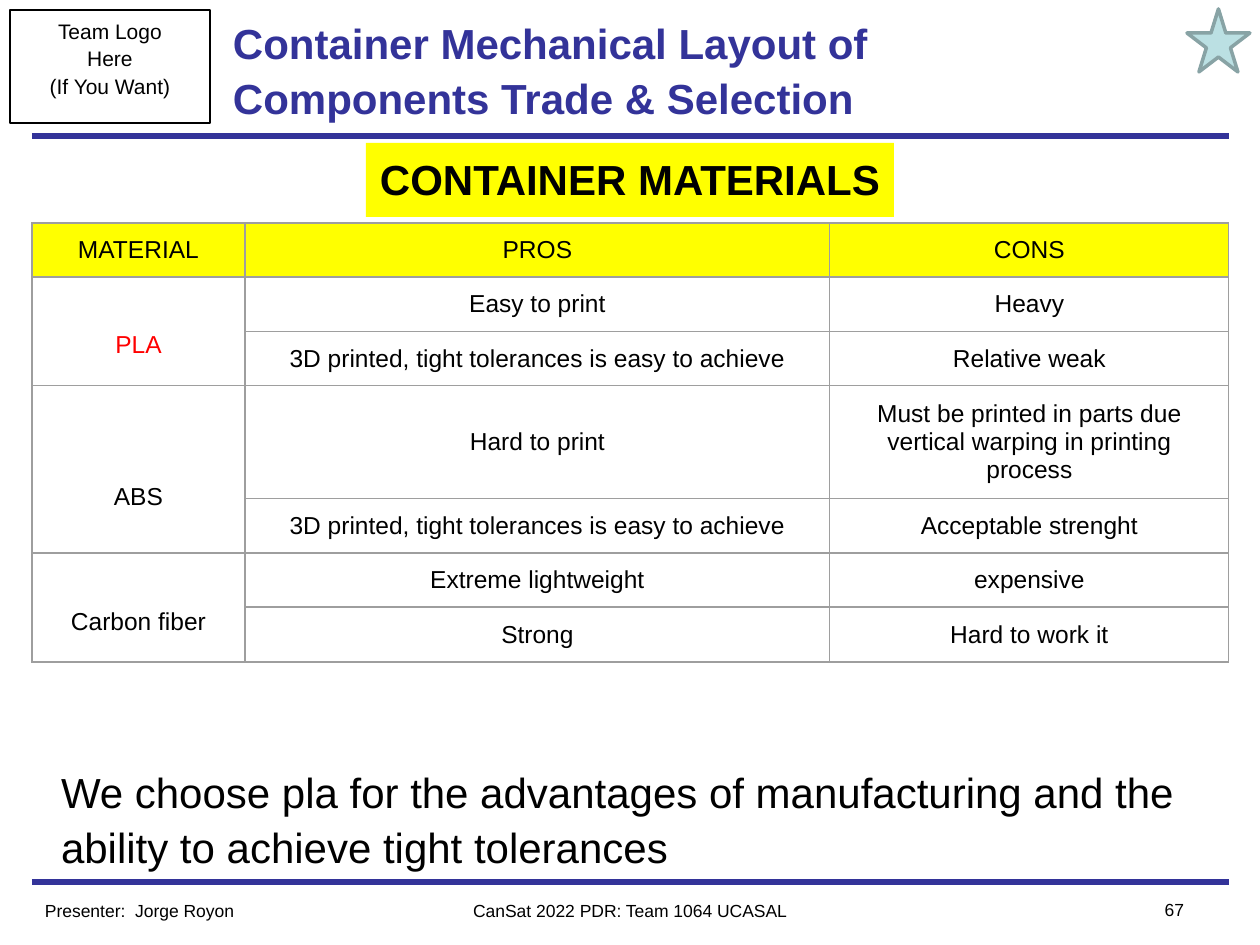
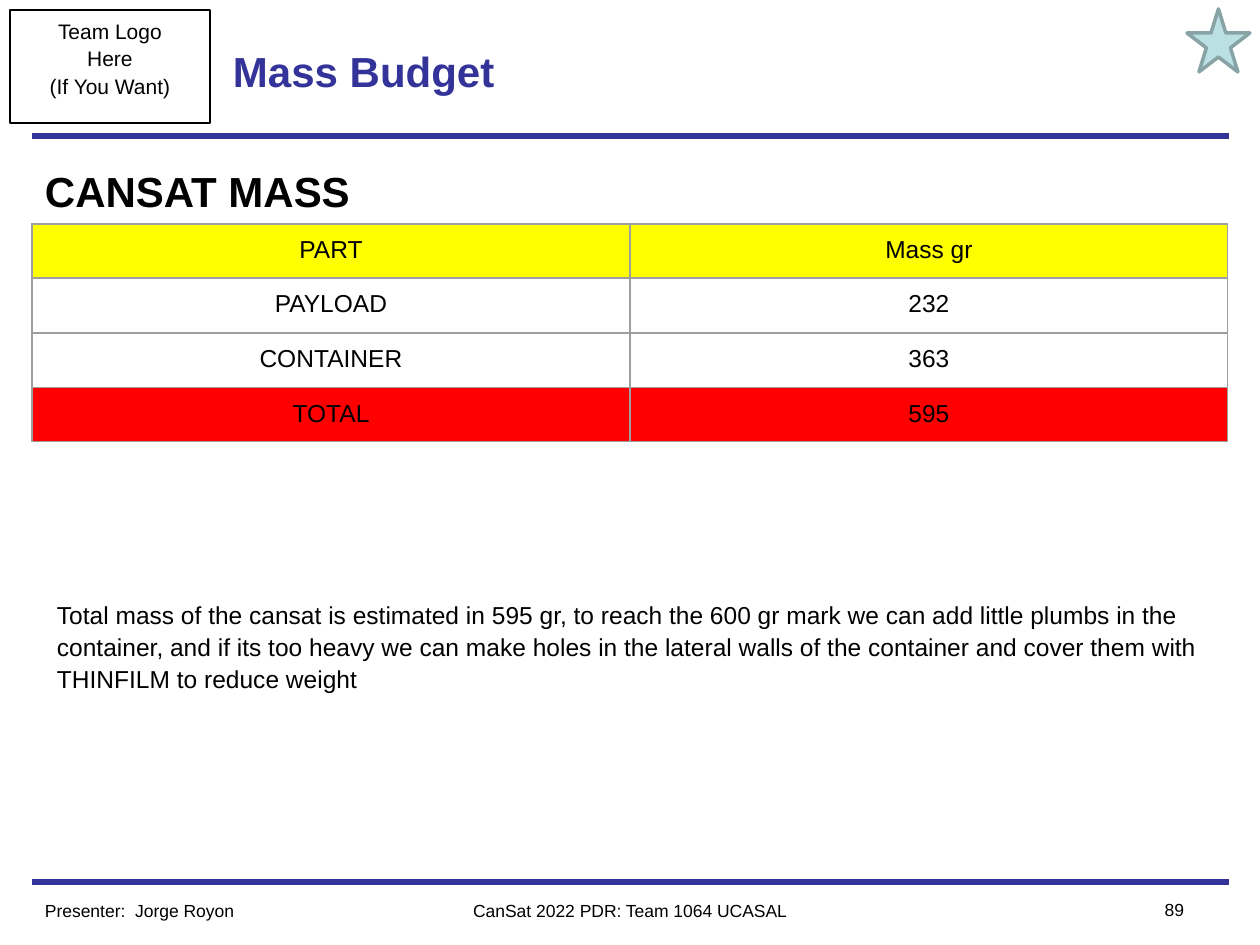
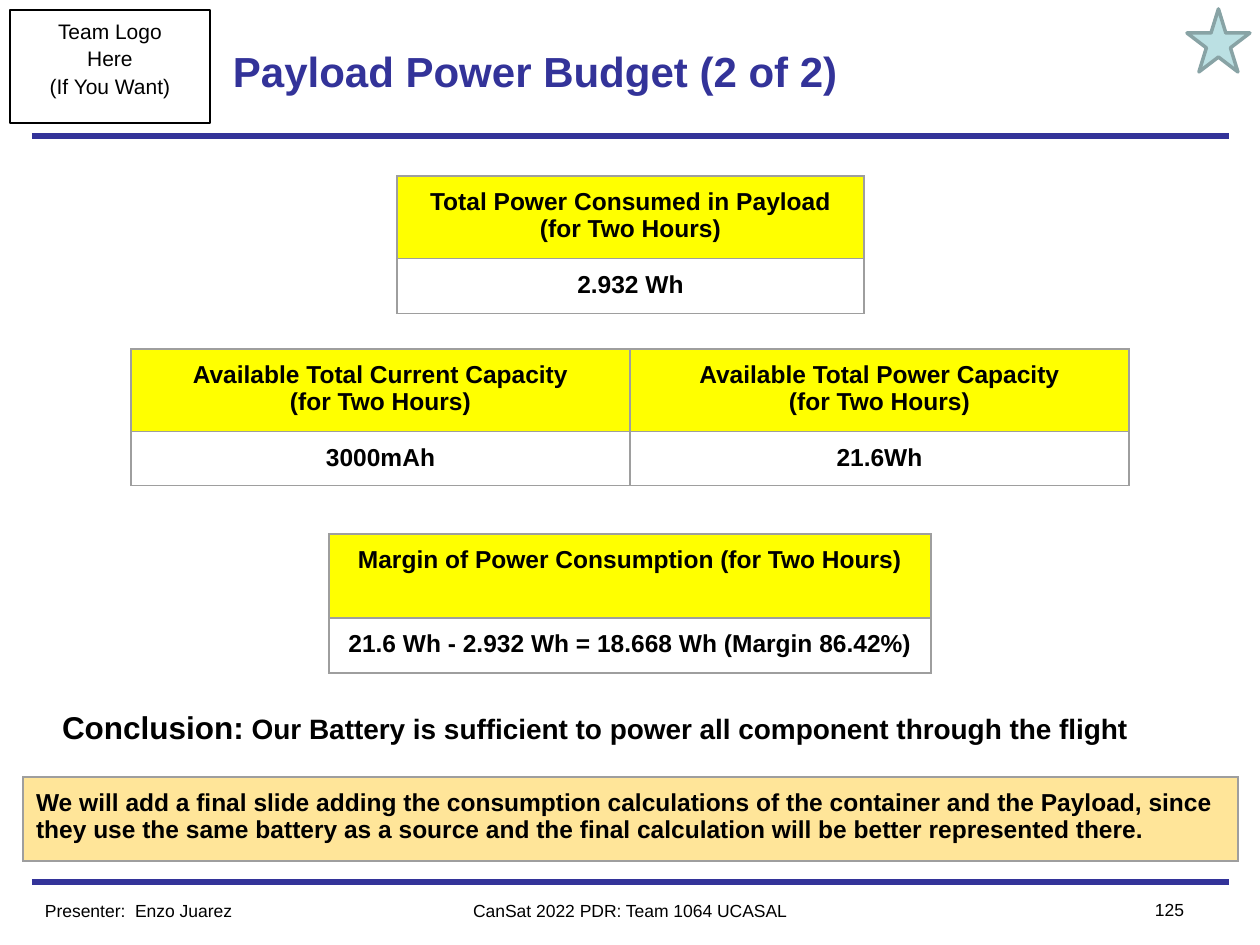
from lxml import etree
from pptx import Presentation, util as u
from pptx.dml.color import RGBColor
from pptx.enum import shapes, text
from pptx.oxml.ns import qn

SCALE = 914400 / 126
FONT = "Arial"
NAVY = RGBColor(0x33, 0x33, 0x99)
BLACK = RGBColor(0, 0, 0)
WHITE = RGBColor(0xFF, 0xFF, 0xFF)
YELLOW = RGBColor(0xFF, 0xFF, 0)
RED = RGBColor(0xFF, 0, 0)
SAND = RGBColor(0xFF, 0xE5, 0x99)
AQUA = RGBColor(0xBB, 0xE0, 0xE3)
TEAL = RGBColor(0x88, 0xA3, 0xA5)
GRAY = RGBColor(0x9E, 0x9E, 0x9E)

LEFT, MID, RIGHT = text.PP_ALIGN.LEFT, text.PP_ALIGN.CENTER, text.PP_ALIGN.RIGHT
TOP, CENTER = text.MSO_ANCHOR.TOP, text.MSO_ANCHOR.MIDDLE
SIDE, PAD = 13, 12
LINE_GAP = 1.09
BLANK_LINE = 28


def px(n):
    return u.Emu(round(n * SCALE))


def edge(cell):
    """Draw the thin gray border on all four sides of a cell."""
    props = cell._tc.get_or_add_tcPr()
    for side in ("lnL", "lnR", "lnT", "lnB"):
        line = etree.SubElement(props, qn("a:" + side), w=str(u.Pt(0.75)))
        fill = etree.SubElement(line, qn("a:solidFill"))
        etree.SubElement(fill, qn("a:srgbClr"), val=str(GRAY))


class Deck:
    def __init__(self):
        self.prs = Presentation()
        self.prs.slide_width, self.prs.slide_height = px(1260), px(945)
        self.slide = None

    def put(self, frame, paras, size, color=BLACK, bold=False, align=LEFT, gap=None):
        """Fill a frame; each paragraph is a string or a list of (string, size)."""
        frame.word_wrap = True
        for i, runs in enumerate(paras):
            para = frame.paragraphs[0] if i == 0 else frame.add_paragraph()
            para.alignment = align
            if gap:
                para.line_spacing = gap
            for words, pts in [(runs, size)] if isinstance(runs, str) else runs:
                run = para.add_run()
                run.text = words
                font = run.font
                font.name, font.size, font.bold = FONT, u.Pt(pts), bold
                font.color.rgb = color

    def label(self, box, paras, size, pad=6, anchor=TOP, **style):
        shape = self.slide.shapes.add_textbox(*map(px, box))
        self.fit(shape, paras, size, pad, anchor, **style)

    def fit(self, shape, paras, size, pad=6, anchor=TOP, **style):
        """Set the text and insets of a shape."""
        frame = shape.text_frame
        frame.margin_left = frame.margin_right = px(SIDE)
        frame.margin_top = frame.margin_bottom = px(pad)
        frame.vertical_anchor = anchor
        self.put(frame, paras, size, gap=LINE_GAP, **style)

    def shape(self, kind, box, fill=None, line=None, width=1):
        shape = self.slide.shapes.add_shape(kind, *map(px, box))
        shape.shadow.inherit = False
        if fill is None:
            shape.fill.background()
        else:
            shape.fill.solid()
            shape.fill.fore_color.rgb = fill
        if line is None:
            shape.line.fill.background()
        else:
            shape.line.color.rgb = line
            shape.line.width = u.Pt(width)
        return shape

    def rule(self, y):
        line = self.slide.shapes.add_connector(
            shapes.MSO_CONNECTOR.STRAIGHT, px(32), px(y), px(1229), px(y))
        line.line.color.rgb = NAVY
        line.line.width = u.Pt(3)
        etree.SubElement(line._element.spPr, qn("a:effectLst"))

    def table(self, x, y, cols, rows, cells, fills, bold=False, anchor=TOP, align=MID):
        """Add a table; fills maps a row to its colour, None joins the cell above."""
        grid = self.slide.shapes.add_table(
            len(rows), len(cols), px(x), px(y), px(sum(cols)), px(sum(rows))).table
        grid.first_row = grid.horz_banding = False
        for col, width in zip(grid.columns, cols):
            col.width = px(width)
        for row, height in zip(grid.rows, rows):
            row.height = px(height)
        for r, line in enumerate(cells):
            for c, words in enumerate(line):
                cell = grid.cell(r, c)
                edge(cell)
                cell.fill.solid()
                cell.fill.fore_color.rgb = fills.get(r, WHITE)
                cell.margin_left = cell.margin_right = px(SIDE)
                cell.margin_top = cell.margin_bottom = px(PAD)
                cell.vertical_anchor = anchor
                if words is None:
                    grid.cell(r - 1, c).merge(cell)
                else:
                    self.put(cell.text_frame, words.split("\n"), 14, bold=bold, align=align)
        return grid

    def page(self, title, name, number):
        self.slide = self.prs.slides.add_slide(self.prs.slide_layouts[6])
        self.rule(882)
        self.rule(136)
        logo = self.shape(shapes.MSO_SHAPE.RECTANGLE, (10, 10, 200, 113), line=BLACK, width=0.75)
        self.fit(logo, ["Team Logo", "Here", "(If You Want)"], 12, align=MID)
        self.label((378, 892, 504, 34), ["CanSat 2022 PDR: Team 1064 UCASAL"], 10, align=MID)
        self.label((1102, 891, 95, 34), [str(number)], 10, align=RIGHT)
        self.label((32, 892, 315, 34), ["Presenter:  " + name], 10)
        self.label((220, 10, 819, 116), [title], 24, anchor=CENTER, color=NAVY, bold=True)
        self.shape(shapes.MSO_SHAPE.STAR_5_POINT, (1187, 9, 63, 63), AQUA, TEAL, 2)


def materials(deck):
    deck.page("Container Mechanical Layout of Components Trade & Selection", "Jorge Royon", 67)
    band = deck.shape(shapes.MSO_SHAPE.RECTANGLE, (366, 143, 528, 74), YELLOW)
    deck.fit(band, ["CONTAINER MATERIALS"], 24, bold=True, align=MID)
    tight = "3D printed, tight tolerances is easy to achieve"
    grid = deck.table(32, 223, [213, 585, 399], [54, 55, 54, 108, 55, 54, 55], [
        ["MATERIAL", "PROS", "CONS"],
        ["PLA", "Easy to print", "Heavy"],
        [None, tight, "Relative weak"],
        ["ABS", "Hard to print",
         "Must be printed in parts due vertical warping in printing process"],
        [None, tight, "Acceptable strenght"],
        ["Carbon fiber", "Extreme lightweight", "expensive"],
        [None, "Strong", "Hard to work it"],
    ], {0: YELLOW}, anchor=CENTER)
    for row, drop in ((1, 1), (3, 2), (5, 1)):
        grid.cell(row, 0).margin_top = px(PAD + drop * BLANK_LINE)
    grid.cell(1, 0).text_frame.paragraphs[0].runs[0].font.color.rgb = RED
    deck.label((48, 750, 1181, 127), [
        "We choose pla for the advantages of manufacturing and the ability to "
        "achieve tight tolerances"], 24, PAD)


def mass(deck):
    deck.page("Mass Budget", "Jorge Royon", 89)
    deck.label((32, 149, 784, 77), ["CANSAT MASS"], 24, PAD, bold=True)
    deck.table(32, 224, [598, 598], [54, 55, 55, 54], [
        ["PART", "Mass gr"],
        ["PAYLOAD", "232"],
        ["CONTAINER", "363"],
        ["TOTAL", "595"],
    ], {0: YELLOW, 3: RED})
    deck.label((44, 585, 1173, 115), [
        "Total mass of the cansat is estimated in 595 gr, to reach the 600 gr mark we can "
        "add little plumbs in the container, and if its too heavy we can make holes in the "
        "lateral walls of the container and cover them with THINFILM to reduce weight"], 14, PAD)


def power(deck):
    deck.page("Payload Power Budget (2 of 2)", "Enzo Juarez", 125)
    head = {0: YELLOW}
    deck.table(397, 176, [467], [80, 55], [
        ["Total Power Consumed in Payload (for Two Hours)"], ["2.932 Wh"]], head, bold=True)
    deck.table(131, 349, [499, 499], [80, 53], [
        ["Available Total Current Capacity\n(for Two Hours)",
         "Available Total Power Capacity\n(for Two Hours)"],
        ["3000mAh", "21.6Wh"]], head, bold=True)
    deck.table(329, 534, [602], [84, 55], [
        ["Margin of Power Consumption (for Two Hours)"],
        ["21.6 Wh - 2.932 Wh = 18.668 Wh (Margin 86.42%)"]], head, bold=True)
    deck.label((49, 693, 1188, 63), [[
        ("Conclusion:", 18),
        (" Our Battery is sufficient to power all component through the flight", 16)]],
        18, PAD, bold=True)
    deck.table(23, 777, [1215], [84], [[
        "We will add a final slide adding the consumption calculations of the container and "
        "the Payload, since they use the same battery as a source and the final calculation "
        "will be better represented there."]], {0: SAND}, bold=True, align=LEFT)


def main():
    deck = Deck()
    for build in (materials, mass, power):
        build(deck)
    deck.prs.save("out.pptx")


if __name__ == "__main__":
    main()
